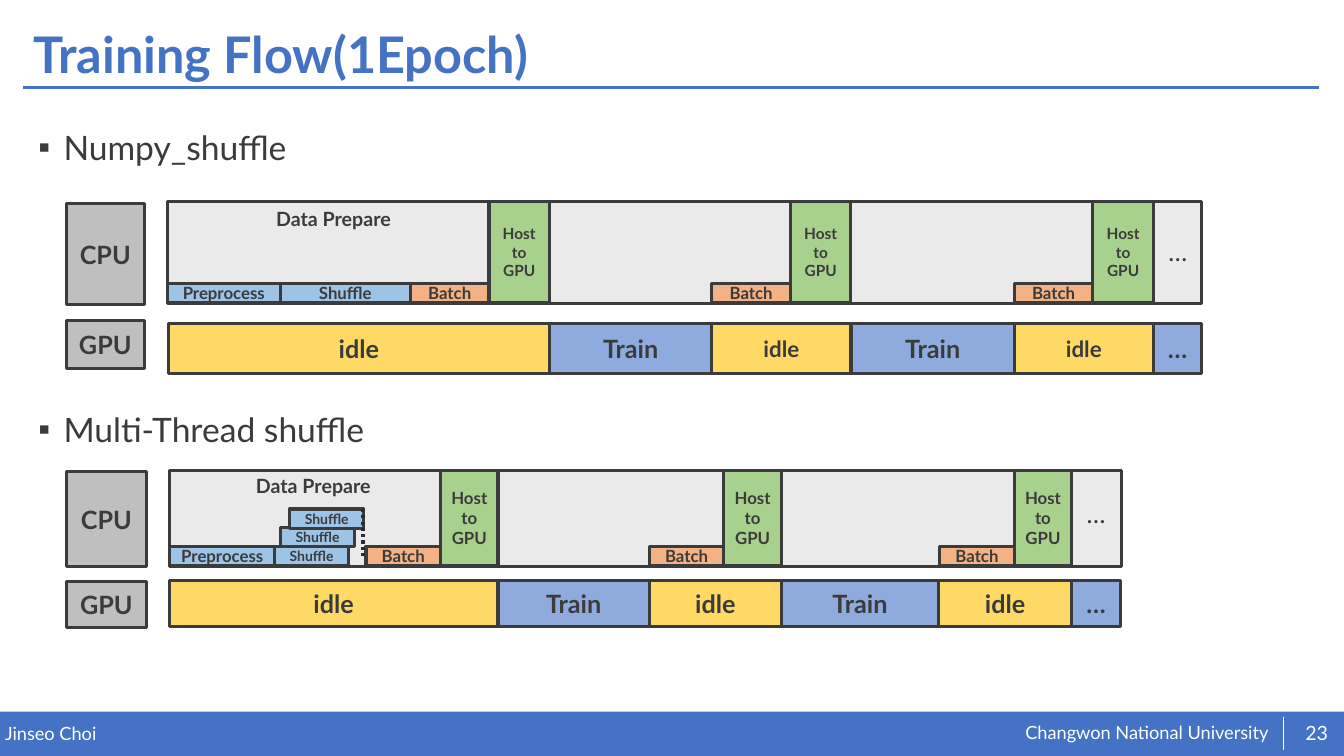
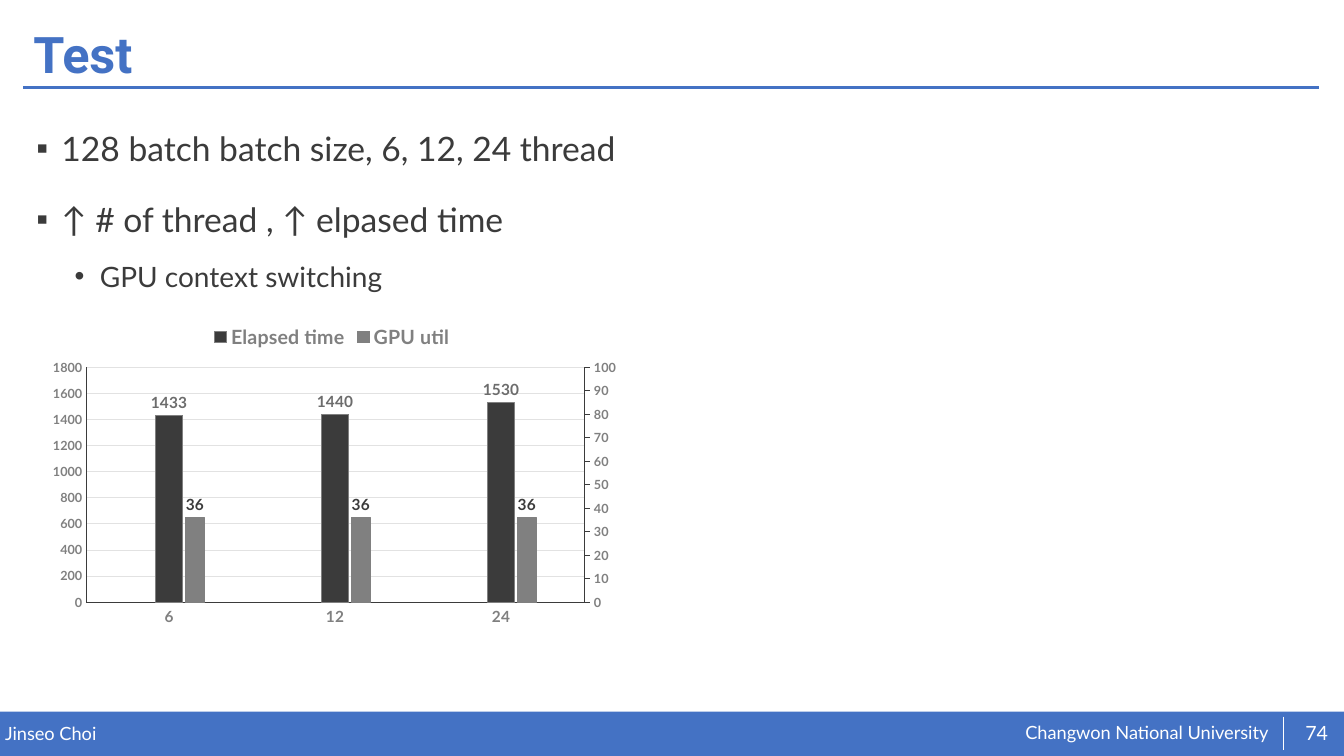
from copy import deepcopy
from dataclasses import dataclass
from itertools import pairwise
from typing import NamedTuple

from lxml.etree import SubElement
from pptx import Presentation
from pptx.chart.data import CategoryChartData
from pptx.dml.color import RGBColor
from pptx.enum.chart import XL_CHART_TYPE, XL_LABEL_POSITION, XL_LEGEND_POSITION, XL_TICK_MARK
from pptx.enum.dml import MSO_LINE
from pptx.enum.shapes import MSO_CONNECTOR, MSO_SHAPE
from pptx.enum.text import MSO_ANCHOR, MSO_AUTO_SIZE, PP_ALIGN
from pptx.oxml.ns import qn
from pptx.util import Emu, Pt

FONT = "Lato"
BLUE, WHITE, INK = "4472C4", "FFFFFF", "3B3B3B"
GREY, LABEL_GREY, GRID = "808080", "6C6C6C", "E2E2E2"
DEVICE, FRAME = "BFBFBF", "EAEAEA"
IDLE, TRAIN = "FFD966", "8FAADC"
PREPARE, BATCH, HOST = "9DC3E6", "F4B183", "A9D18E"
BAR_HEIGHT = 19


class Box(NamedTuple):
    left: int
    top: int
    width: int
    height: int


class Bullet(NamedTuple):
    text: str
    level: int = 0
    before: int = 10


class Bar(NamedTuple):
    text: str
    left: int
    width: int
    rise: int
    size: int


@dataclass(frozen=True)
class Timeline:
    cpu: Box
    gpu_top: int
    gpu_height: int
    cpu_label: Box
    gpu_label: Box
    edges: tuple[int, ...]
    idle_size: int
    host_width: int
    host_size: int
    batch_width: int
    bars: tuple[Bar, ...]
    heading: Box
    dots: Box


TIMELINES = (
    Timeline(
        cpu=Box(166, 200, 1026, 101), gpu_top=321, gpu_height=50,
        cpu_label=Box(66, 202, 77, 100), gpu_label=Box(66, 318, 77, 48),
        edges=(167, 545, 706, 844, 1006, 1144, 1192), idle_size=16,
        host_width=60, host_size=11, batch_width=78,
        bars=(Bar("Preprocess", 166, 112, 0, 12), Bar("Shuffle", 278, 129, 0, 12)),
        heading=Box(264, 200, 236, 34), dots=Box(1149, 230, 60, 40),
    ),
    Timeline(
        cpu=Box(168, 467, 944, 95), gpu_top=576, gpu_height=46,
        cpu_label=Box(66, 468, 79, 94), gpu_label=Box(66, 577, 79, 46),
        edges=(168, 494, 644, 775, 931, 1063, 1111), idle_size=18,
        host_width=57, host_size=12, batch_width=74,
        bars=(
            Bar("Preprocess", 168, 105, 0, 12),
            Bar("Shuffle", 272, 74, 0, 10),
            Bar("Shuffle", 278, 74, 19, 10),
            Bar("Shuffle", 287, 74, 37, 10),
        ),
        heading=Box(244, 465, 236, 34), dots=Box(1068, 489, 60, 40),
    ),
)


def px(value: int) -> Emu:
    return Emu(value * 9144)


def color(value: str) -> RGBColor:
    return RGBColor.from_string(value)


def style_font(font, size: int, fill: str, bold: bool = False, name: str = FONT) -> None:
    font.name, font.size, font.bold = name, Pt(size), bold
    font.color.rgb = color(fill)


def style_line(line, fill: str, width: float) -> None:
    line.color.rgb = color(fill)
    line.width = Pt(width)


def place(shape, box: Box) -> None:
    shape.left, shape.top, shape.width, shape.height = map(px, box)


def add_run(paragraph, text: str, size: int, fill: str, bold: bool = False, name: str = FONT) -> None:
    run = paragraph.add_run()
    run.text = text
    style_font(run.font, size, fill, bold, name)


def add_line(slide, start: tuple[int, int], end: tuple[int, int], fill: str, width: float):
    connector = slide.shapes.add_connector(MSO_CONNECTOR.STRAIGHT, *map(px, start + end))
    style_line(connector.line, fill, width)
    SubElement(connector.element.spPr, qn("a:effectLst"))
    return connector


def add_text(slide, box: Box, text: str, size: int, fill: str, bold: bool = False,
             inset: int = 0, centered: bool = False) -> None:
    frame = slide.shapes.add_textbox(*map(px, box)).text_frame
    frame.word_wrap = True
    frame.margin_left = frame.margin_right = px(2 * inset)
    frame.margin_top = frame.margin_bottom = px(inset)
    paragraph = frame.paragraphs[0]
    if centered:
        frame.vertical_anchor = MSO_ANCHOR.MIDDLE
        paragraph.alignment = PP_ALIGN.CENTER
    add_run(paragraph, text, size, fill, bold)


def add_block(slide, box: Box, fill: str, lines: tuple[str, ...] = (), size: int = 18,
              outlined: bool = True) -> None:
    shape = slide.shapes.add_shape(MSO_SHAPE.RECTANGLE, *map(px, box))
    shape.shadow.inherit = False
    shape.fill.solid()
    shape.fill.fore_color.rgb = color(fill)
    if outlined:
        style_line(shape.line, INK, 2.25)
    else:
        shape.line.fill.background()
    frame = shape.text_frame
    frame.margin_left = frame.margin_right = frame.margin_top = frame.margin_bottom = 0
    frame.vertical_anchor = MSO_ANCHOR.MIDDLE
    for index, text in enumerate(lines):
        paragraph = frame.add_paragraph() if index else frame.paragraphs[0]
        paragraph.alignment = PP_ALIGN.CENTER
        add_run(paragraph, text, size, INK, True)


def add_bullets(frame, bullets: tuple[Bullet, ...]) -> None:
    frame.auto_size = MSO_AUTO_SIZE.NONE
    frame.vertical_anchor = MSO_ANCHOR.TOP
    for index, bullet in enumerate(bullets):
        paragraph = frame.add_paragraph() if index else frame.paragraphs[0]
        paragraph.level = bullet.level
        properties = paragraph._p.get_or_add_pPr()
        properties.set("marL", str(px(63 if bullet.level else 25)))
        properties.set("indent", str(px(-25)))
        SubElement(properties, qn("a:buChar")).set("char", "•" if bullet.level else "▪")
        paragraph.line_spacing = 1.4
        paragraph.space_before = Pt(bullet.before if index else 0)
        add_run(paragraph, bullet.text, 20 if bullet.level else 24, INK)


def add_base_slide(presentation, title: str, title_font: str, number: int,
                   body_box: Box, bullets: tuple[Bullet, ...]):
    slide = presentation.slides.add_slide(presentation.slide_layouts[1])
    add_block(slide, Box(0, 706, 1333, 44), BLUE, outlined=False)
    add_text(slide, Box(1017, 716, 267, 23), "Changwon National University", 13, WHITE)
    add_text(slide, Box(5, 717, 655, 22), "Jinseo Choi", 13, WHITE)
    add_line(slide, (23, 87), (1308, 87), BLUE, 2)
    add_line(slide, (1273, 711), (1273, 744), WHITE, 0.5)
    add_text(slide, Box(1282, 707, 48, 40), str(number), 14, WHITE, centered=True)
    heading = slide.shapes.title
    place(heading, Box(23, 18, 1286, 77))
    heading.text_frame.auto_size = MSO_AUTO_SIZE.NONE
    heading.text_frame.vertical_anchor = MSO_ANCHOR.MIDDLE
    paragraph = heading.text_frame.paragraphs[0]
    paragraph.alignment = PP_ALIGN.LEFT
    paragraph.line_spacing = 0.9
    add_run(paragraph, title, 36, BLUE, True, title_font)
    body = slide.placeholders[1]
    place(body, body_box)
    add_bullets(body.text_frame, bullets)
    return slide


def add_timeline(slide, timeline: Timeline) -> None:
    cpu = timeline.cpu
    bar_top = cpu.top + cpu.height - BAR_HEIGHT - 1
    add_block(slide, timeline.cpu_label, DEVICE, ("CPU",))
    add_block(slide, timeline.gpu_label, DEVICE, ("GPU",))
    add_block(slide, cpu, FRAME)
    for bar in timeline.bars:
        box = Box(bar.left, bar_top - bar.rise, bar.width, BAR_HEIGHT)
        add_block(slide, box, PREPARE, (bar.text,), bar.size)
    for host_end in timeline.edges[1::2]:
        host_left = host_end - timeline.host_width
        batch_left = host_left - timeline.batch_width
        add_block(slide, Box(batch_left, bar_top, timeline.batch_width, BAR_HEIGHT),
                  BATCH, ("Batch",), 12)
        add_block(slide, Box(host_left, cpu.top, timeline.host_width, cpu.height - 1),
                  HOST, ("Host", "to", "GPU"), timeline.host_size)
    last = len(timeline.edges) - 2
    for index, (left, right) in enumerate(pairwise(timeline.edges)):
        training = index % 2 == 1
        text = "…" if index == last else "Train" if training else "idle"
        size = timeline.idle_size if index in (2, 4) else 18
        add_block(slide, Box(left, timeline.gpu_top, right - left, timeline.gpu_height),
                  TRAIN if training else IDLE, (text,), size)
    add_text(slide, timeline.heading, "Data Prepare", 14, INK, True, inset=5)
    add_text(slide, timeline.dots, "…", 18, INK, inset=5)


def set_values(element, **values: str) -> None:
    for tag, value in values.items():
        element.find(".//" + qn("c:" + tag)).set("val", value)


def move_to_right_axis(chart) -> None:
    primary = chart.element.xpath(".//c:barChart")[0]
    category_axis = chart.element.xpath(".//c:catAx")[0]
    value_axis = chart.element.xpath(".//c:valAx")[0]
    secondary = deepcopy(primary)
    for series in primary.xpath("c:ser")[1:]:
        primary.remove(series)
    secondary.remove(secondary.xpath("c:ser")[0])
    for axis_id, value in zip(secondary.xpath("c:axId"), ("501", "502")):
        axis_id.set("val", value)
    primary.addnext(secondary)
    right_axis, hidden_axis = deepcopy(value_axis), deepcopy(category_axis)
    set_values(hidden_axis, axId="501", crossAx="502", delete="1")
    set_values(right_axis, axId="502", crossAx="501", axPos="r", crosses="max",
               max="100", majorUnit="10", majorTickMark="out")
    right_axis.remove(right_axis.find(qn("c:majorGridlines")))
    value_axis.addnext(right_axis)
    right_axis.addnext(hidden_axis)


def set_plot_layout(chart, **fractions: str) -> None:
    plot_area = chart.element.xpath(".//c:plotArea")[0]
    for layout in plot_area.xpath("c:layout"):
        plot_area.remove(layout)
    layout = SubElement(plot_area, qn("c:layout"))
    plot_area.insert(0, layout)
    manual = SubElement(layout, qn("c:manualLayout"))
    settings = {"layoutTarget": "inner", "xMode": "edge", "yMode": "edge", **fractions}
    for tag, value in settings.items():
        SubElement(manual, qn("c:" + tag)).set("val", value)


def hide_legend_entries(chart, indexes: tuple[int, ...]) -> None:
    position = chart.element.xpath(".//c:legendPos")[0]
    for index in reversed(indexes):
        entry = position.makeelement(qn("c:legendEntry"))
        SubElement(entry, qn("c:idx")).set("val", str(index))
        SubElement(entry, qn("c:delete")).set("val", "1")
        position.addnext(entry)


def add_elapsed_chart(slide, box: Box) -> None:
    data = CategoryChartData()
    data.categories = ["6", "12", "24"]
    data.add_series("Elapsed time", (1433, 1440, 1530))
    for number in (2, 3, 4):
        data.add_series(f"Series {number}", (None, None, None))
    data.add_series("GPU util", (36, 36, 36))
    chart = slide.shapes.add_chart(XL_CHART_TYPE.COLUMN_CLUSTERED, *map(px, box), data).chart
    chart.has_title = False
    style_font(chart.font, 10, INK)
    chart.has_legend = True
    chart.legend.position = XL_LEGEND_POSITION.TOP
    chart.legend.include_in_layout = False
    style_font(chart.legend.font, 14, GREY, True)
    for axis, size in ((chart.category_axis, 11), (chart.value_axis, 9)):
        axis.major_tick_mark = axis.minor_tick_mark = XL_TICK_MARK.NONE
        style_font(axis.tick_labels.font, size, GREY, True)
        style_line(axis.format.line, INK, 0.75)
    values = chart.value_axis
    values.minimum_scale, values.maximum_scale, values.major_unit = 0, 1800, 200
    style_line(values.major_gridlines.format.line, GRID, 0.75)
    plot = chart.plots[0]
    plot.gap_width, plot.overlap, plot.vary_by_categories = 500, 10, False
    for index, fill, label_fill in ((0, INK, LABEL_GREY), (4, GREY, INK)):
        series = plot.series[index]
        series.format.fill.solid()
        series.format.fill.fore_color.rgb = color(fill)
        style_line(series.format.line, GREY, 0.75)
        labels = series.data_labels
        labels.show_value = True
        labels.position = XL_LABEL_POSITION.OUTSIDE_END
        style_font(labels.font, 11, label_fill, True)
    move_to_right_axis(chart)
    set_plot_layout(chart, x="0.08", y="0.17", w="0.85", h="0.74")
    hide_legend_entries(chart, (1, 2, 3))


def main() -> None:
    presentation = Presentation()
    presentation.slide_width, presentation.slide_height = px(1333), px(750)
    flow = add_base_slide(
        presentation, "Training Flow(1Epoch)", FONT, 23, Box(28, 105, 1286, 563),
        (Bullet("Numpy_shuffle"), Bullet("Multi-Thread shuffle", before=161)))
    for timeline in TIMELINES:
        add_timeline(flow, timeline)
    add_line(flow, (360, 505), (360, 554), "2C2C2C", 2.25).line.dash_style = MSO_LINE.ROUND_DOT
    test = add_base_slide(
        presentation, "Test", "Roboto", 74, Box(26, 106, 1286, 563),
        (Bullet("128 batch batch size, 6, 12, 24 thread"),
         Bullet("↑ # of thread , ↑ elpased time"),
         Bullet("GPU context switching", level=1, before=5)))
    add_elapsed_chart(test, Box(39, 311, 581, 315))
    presentation.save("out.pptx")


if __name__ == "__main__":
    main()
